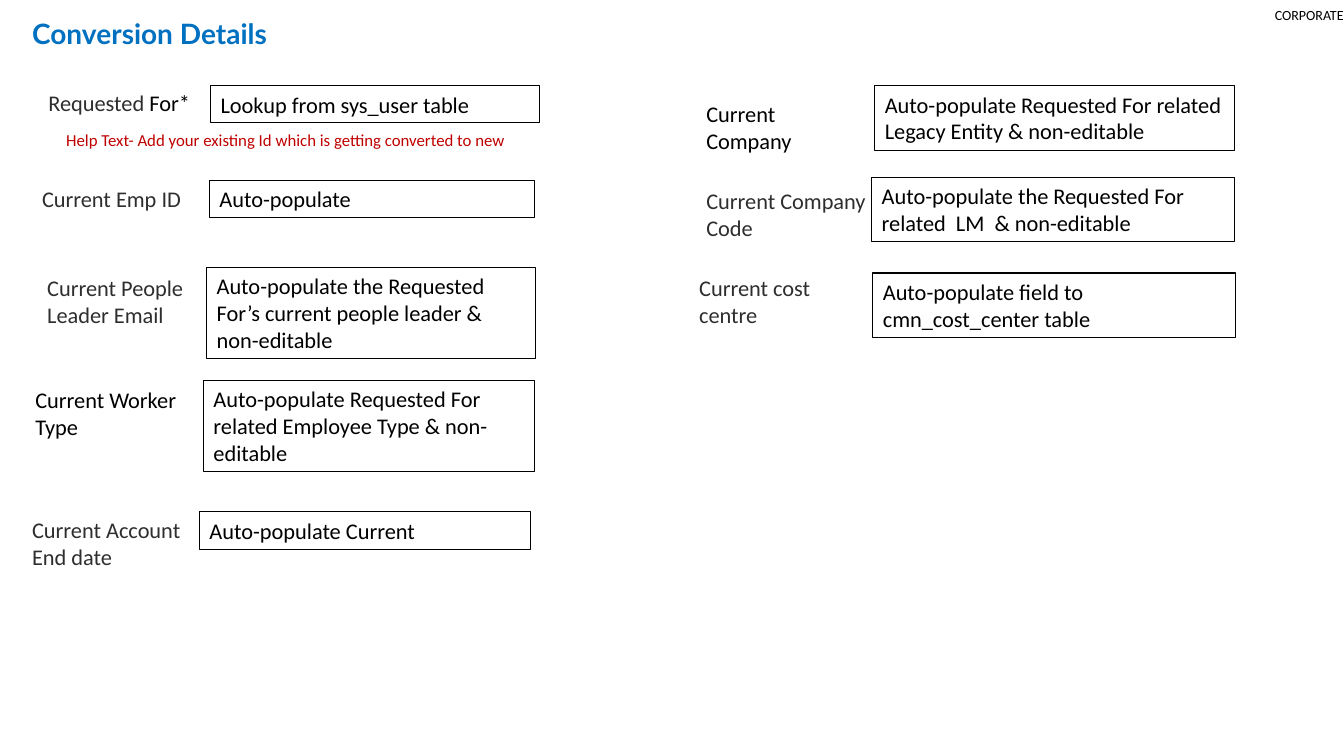
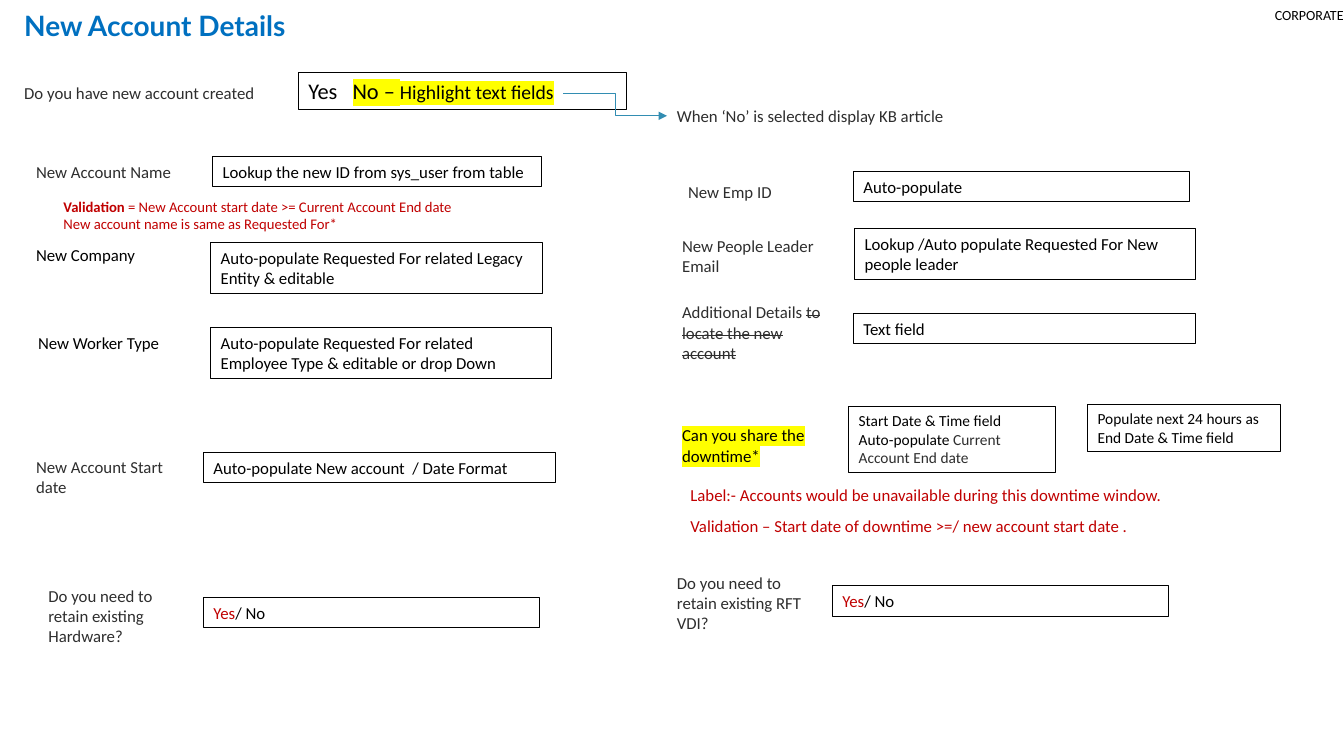
from dataclasses import dataclass
from pptx import Presentation as Deck
from pptx.dml.color import RGBColor as Rgb
from pptx.enum.shapes import MSO_CONNECTOR as Link, MSO_SHAPE as Form
from pptx.enum.text import MSO_ANCHOR as Anchor, MSO_AUTO_SIZE as Fit, PP_ALIGN as Align
from pptx.oxml.ns import qn
from pptx.util import Cm, Pt
from lxml.etree import SubElement as Sub, Element as Elem


@dataclass(frozen=True)
class Theme:
    black: str = "000000"
    grey: str = "2E2E2E"
    red: str = "C00000"
    blue: str = "0070C0"
    teal: str = "328DB2"
    mark: str = "FFFF00"
    body: str = "Calibri"
    head: str = "Lato"
    title: float = 20
    large: float = 16
    mid: float = 14
    text: float = 12
    small: float = 11
    note: float = 10.5
    tag: float = 10
    line: float = 0.75


T = Theme()


def style(run, size, ink, face=T.body, bold=False, strike=False, mark=None):
    font = run.font
    font.name = face
    font.size = Pt(size)
    font.bold = bold
    font.color.rgb = Rgb.from_string(ink)
    props = run._r.get_or_add_rPr()
    if strike:
        props.set("strike", "sngStrike")
    if mark:
        glow = Elem(qn("a:highlight"))
        Sub(glow, qn("a:srgbClr")).set("val", mark)
        props.find(qn("a:solidFill")).addnext(glow)


def put(page, text, left, top, wide, rows, size, ink, box=False, **look):
    tall = 0.25 + rows * size * 0.043
    place = Cm(left), Cm(top), Cm(wide), Cm(tall)
    if box:
        item = page.shapes.add_shape(Form.RECTANGLE, *place)
        item.shadow.inherit = False
        item.fill.background()
        item.line.color.rgb = Rgb.from_string(T.black)
        item.line.width = Pt(T.line)
    else:
        item = page.shapes.add_textbox(*place)
    frame = item.text_frame
    frame.word_wrap = True
    frame.auto_size = Fit.SHAPE_TO_FIT_TEXT
    frame.vertical_anchor = Anchor.TOP
    paras = text if isinstance(text, list) else [text]
    for spot, parts in enumerate(paras):
        para = frame.add_paragraph() if spot else frame.paragraphs[0]
        para.alignment = Align.LEFT
        if isinstance(parts, str):
            parts = [(parts, {})]
        for words, own in parts:
            run = para.add_run()
            run.text = words
            style(run, **{"size": size, "ink": ink, **look, **own})
    return item


choice = [[("Yes", {"ink": T.red}), ("/ No", {})]]

pages = [
    {
        "title": ("Conversion Details", 0.56, 0.3),
        "size": T.large,
        "labels": [
            ([[("Requested", {}), (" For*", {"ink": T.black})]], 0.97, 2.13, 4.09, 1),
            ("Current Emp ID", 0.81, 4.55, 4.39, 1),
            ("Current People Leader Email", 0.94, 6.78, 4.47, 2),
            ("Current Worker Type", 0.64, 9.6, 4.14, 2, {"ink": T.black}),
            ("Current Account End date", 0.56, 12.88, 4.39, 2),
            ("Current Company", 17.55, 2.41, 3.99, 2, {"ink": T.black}),
            (["Current Company", "Code"], 17.55, 4.6, 4.98, 2),
            ("Current cost centre", 17.37, 6.78, 4.75, 2),
            ("Help Text- Add your existing Id which is getting converted to new",
             1.42, 3.15, 12.55, 1, {"size": T.text, "ink": T.red}),
        ],
        "boxes": [
            ("Lookup from sys_user table", 5.31, 2.16, 8.28, 1),
            ("Auto-populate", 5.28, 4.55, 8.2, 1),
            ("Auto-populate the Requested For’s current people leader & non-editable",
             5.21, 6.73, 8.28, 3),
            ("Auto-populate Requested For related Employee Type & non-editable",
             5.13, 9.58, 8.33, 3),
            ("Auto-populate Current", 5.03, 12.9, 8.33, 1),
            ("Auto-populate Requested For related Legacy Entity & non-editable",
             22.05, 2.16, 9.07, 2),
            ("Auto-populate the Requested For related  LM  & non-editable",
             21.97, 4.47, 9.14, 2),
            ("Auto-populate field to cmn_cost_center table", 22, 6.88, 9.14, 2),
        ],
        "arrows": [],
    },
    {
        "title": ("New Account Details", 0.36, 0.08),
        "size": T.text,
        "labels": [
            ("Do you have new account created", 0.36, 1.96, 6.38, 1),
            ("When ‘No’ is selected display KB article", 16.81, 2.54, 8.48, 1),
            ("New Account Name", 0.66, 3.94, 4.09, 1),
            ([[("Validation", {"bold": True}),
               (" = New Account start date >= Current Account End date", {})],
              "New account name is same as Requested For*"],
             1.35, 4.85, 12.32, 2, {"size": T.note, "ink": T.red}),
            ("New Company", 0.66, 6.05, 3.99, 1, {"ink": T.black}),
            ("New Worker Type", 0.71, 8.26, 3.99, 1, {"ink": T.black}),
            ("New Account Start date", 0.66, 11.38, 4.39, 2),
            ("Do you need to retain existing Hardware?", 0.97, 14.63, 4.09, 3),
            ("New Emp ID", 17.09, 4.45, 4.98, 1),
            ("New People Leader Email", 16.94, 5.82, 4.47, 2),
            ([[("Additional Details ", {}),
               ("to locate the new account", {"strike": True})]],
             16.94, 7.49, 3.99, 3),
            ("Can you share the downtime*", 16.94, 10.59, 4.09, 2,
             {"ink": T.black, "mark": T.mark}),
            ("Label:- Accounts would be unavailable during this downtime window.",
             17.15, 12.09, 13.51, 1, {"ink": T.red}),
            ("Validation – Start date of downtime >=/ new account start date .",
             17.15, 12.88, 13.51, 1, {"ink": T.red}),
            ("Do you need to retain existing RFT VDI?", 16.81, 14.3, 4.09, 3),
        ],
        "boxes": [
            ([[("Yes   ", {}), ("No – ", {"mark": T.mark}),
               ("Highlight text fields", {"mark": T.mark, "size": T.mid})]],
             7.52, 1.83, 8.28, 1, {"size": T.large}),
            ("Lookup the new ID from sys_user from table", 5.36, 3.94, 8.28, 1),
            ("Auto-populate Requested For related Legacy Entity & editable",
             5.31, 6.12, 8.36, 2),
            ("Auto-populate Requested For related Employee Type & editable or drop Down",
             5.31, 8.26, 8.59, 2),
            ("Auto-populate New account  / Date Format", 5.13, 11.4, 8.86, 1),
            (choice, 5.13, 15.06, 8.46, 1),
            ("Auto-populate", 21.51, 4.32, 8.48, 1),
            ("Lookup /Auto populate Requested For New people leader",
             21.54, 5.77, 8.59, 2),
            ("Text field", 21.51, 7.9, 8.61, 1),
            (["Start Date & Time field",
              [("Auto-populate ", {}), ("Current Account End date", {"ink": T.grey})]],
             21.39, 10.24, 5.21, 3, {"size": T.small}),
            ("Populate next 24 hours as End Date & Time field",
             27.41, 10.19, 4.85, 2, {"size": T.small}),
            (choice, 20.98, 14.76, 8.46, 1),
        ],
        "arrows": [(14.2, 2.36, 16.81, 2.92)],
    },
]

deck = Deck()
deck.slide_width = Cm(33.87)
deck.slide_height = Cm(19.05)

for data in pages:
    page = deck.slides.add_slide(deck.slide_layouts[6])

    tag = put(page, "CORPORATE", 31.32, 0, 2.54, 1, T.tag, T.black)
    frame = tag.text_frame
    frame.auto_size = Fit.NONE
    frame.vertical_anchor = Anchor.MIDDLE
    frame.margin_left = frame.margin_right = frame.margin_top = frame.margin_bottom = 0
    frame.paragraphs[0].alignment = Align.RIGHT
    tag.height = Cm(0.74)

    name, left, top = data["title"]
    put(page, name, left, top, 16.97, 1, T.title, T.blue, face=T.head, bold=True)

    for group, ink, box in (("labels", T.grey, False), ("boxes", T.black, True)):
        for text, left, top, wide, rows, *extra in data[group]:
            look = {"size": data["size"], "ink": ink}
            for own in extra:
                look.update(own)
            put(page, text, left, top, wide, rows, box=box, **look)

    for ends in data["arrows"]:
        arrow = page.shapes.add_connector(Link.ELBOW, *map(Cm, ends))
        arrow.line.color.rgb = Rgb.from_string(T.teal)
        arrow.line.width = Pt(T.line)
        Sub(arrow.line._get_or_add_ln(), qn("a:tailEnd")).set("type", "triangle")
        Sub(arrow._element.spPr, qn("a:effectLst"))

deck.save("out.pptx")
